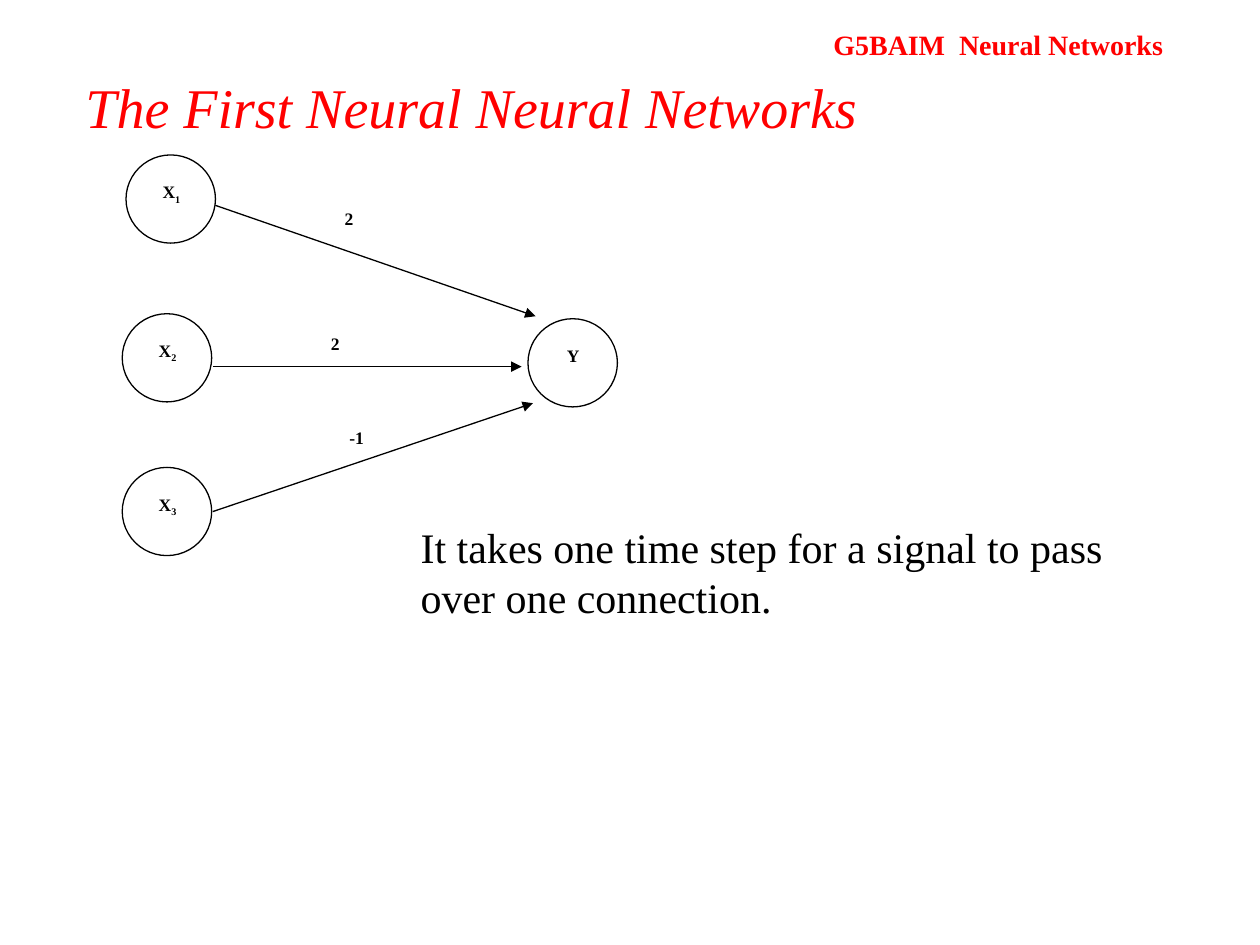
from pptx import Presentation
from pptx.dml.color import RGBColor
from pptx.enum.shapes import MSO_CONNECTOR, MSO_SHAPE
from pptx.enum.text import MSO_ANCHOR, PP_ALIGN
from pptx.oxml.ns import qn
from pptx.util import Inches, Pt
from lxml.etree import SubElement

RED = RGBColor(0xFF, 0x00, 0x00)
BLACK = RGBColor(0x00, 0x00, 0x00)
WHITE = RGBColor(0xFF, 0xFF, 0xFF)


class NetworkSlide:
    """Draws the elements of a neural network slide in one style."""

    font_name = "Times New Roman"
    label_size = 10
    line_width = Pt(0.75)
    node_width, node_height = 0.71, 0.7

    def __init__(self, slide):
        self.slide = slide

    def style(self, paragraph, size, color, bold=False, italic=False):
        font = paragraph.font
        font.name = self.font_name
        font.size = Pt(size)
        font.color.rgb = color
        font.bold = bold
        font.italic = italic

    def text(self, box, text, size, color=BLACK, align=PP_ALIGN.LEFT,
             anchor=MSO_ANCHOR.TOP, bold=False, italic=False):
        frame = self.slide.shapes.add_textbox(*map(Inches, box)).text_frame
        frame.word_wrap = True
        frame.vertical_anchor = anchor
        paragraph = frame.paragraphs[0]
        paragraph.text = text
        paragraph.alignment = align
        self.style(paragraph, size, color, bold, italic)

    def filled_shape(self, kind, box):
        shape = self.slide.shapes.add_shape(kind, *map(Inches, box))
        shape.shadow.inherit = False
        shape.fill.solid()
        shape.fill.fore_color.rgb = WHITE
        return shape

    def label(self, box, text, subscript=""):
        shape = self.filled_shape(MSO_SHAPE.RECTANGLE, box)
        shape.line.fill.background()
        frame = shape.text_frame
        frame.word_wrap = True
        frame.vertical_anchor = MSO_ANCHOR.TOP
        paragraph = frame.paragraphs[0]
        paragraph.alignment = PP_ALIGN.CENTER
        paragraph.add_run().text = text
        if subscript:
            run = paragraph.add_run()
            run.text = subscript
            run._r.get_or_add_rPr().set("baseline", "-25000")
        self.style(paragraph, self.label_size, BLACK, bold=True)

    def node(self, left, top, text, subscript):
        box = (left, top, self.node_width, self.node_height)
        circle = self.filled_shape(MSO_SHAPE.OVAL, box)
        circle.line.color.rgb = BLACK
        circle.line.width = self.line_width
        self.label((left + 0.09, top + 0.16, 0.54, 0.37), text, subscript)

    def arrow(self, start, end):
        connector = self.slide.shapes.add_connector(
            MSO_CONNECTOR.STRAIGHT, *map(Inches, start + end))
        connector.line.color.rgb = BLACK
        connector.line.width = self.line_width
        SubElement(connector.line._get_or_add_ln(), qn("a:tailEnd"), type="triangle")
        SubElement(connector._element.spPr, qn("a:effectLst"))


def main():
    presentation = Presentation()
    presentation.slide_width = Inches(10)
    presentation.slide_height = Inches(7.5)
    network = NetworkSlide(presentation.slides.add_slide(presentation.slide_layouts[6]))

    network.text((0.5, 0.17, 8.83, 0.37), "G5BAIM  Neural Networks", 16, RED,
                 align=PP_ALIGN.RIGHT, bold=True)
    network.text((0.58, 0.58, 8.5, 0.58), "The First Neural Neural Networks", 32, RED,
                 anchor=MSO_ANCHOR.BOTTOM, italic=True)

    weights = [("-1", 2.51, 3.34, 0.64), ("2", 2.47, 2.59, 0.38), ("2", 2.58, 1.6, 0.38)]
    for weight, left, top, width in weights:
        network.label((left, top, width, 0.33), weight)

    nodes = [(1, 1.23, "X", "1"), (0.97, 2.49, "X", "2"),
             (0.97, 3.71, "X", "3"), (4.19, 2.53, "Y", "")]
    for node in nodes:
        network.node(*node)

    connections = [((1.71, 1.63), (4.25, 2.51)),
                   ((1.69, 2.91), (4.14, 2.91)),
                   ((1.69, 4.06), (4.23, 3.2))]
    for start, end in connections:
        network.arrow(start, end)

    network.text((3.24, 4.09, 6.24, 0.9),
                 "It takes one time step for a signal to pass over one connection.", 24)
    presentation.save("out.pptx")


if __name__ == "__main__":
    main()
